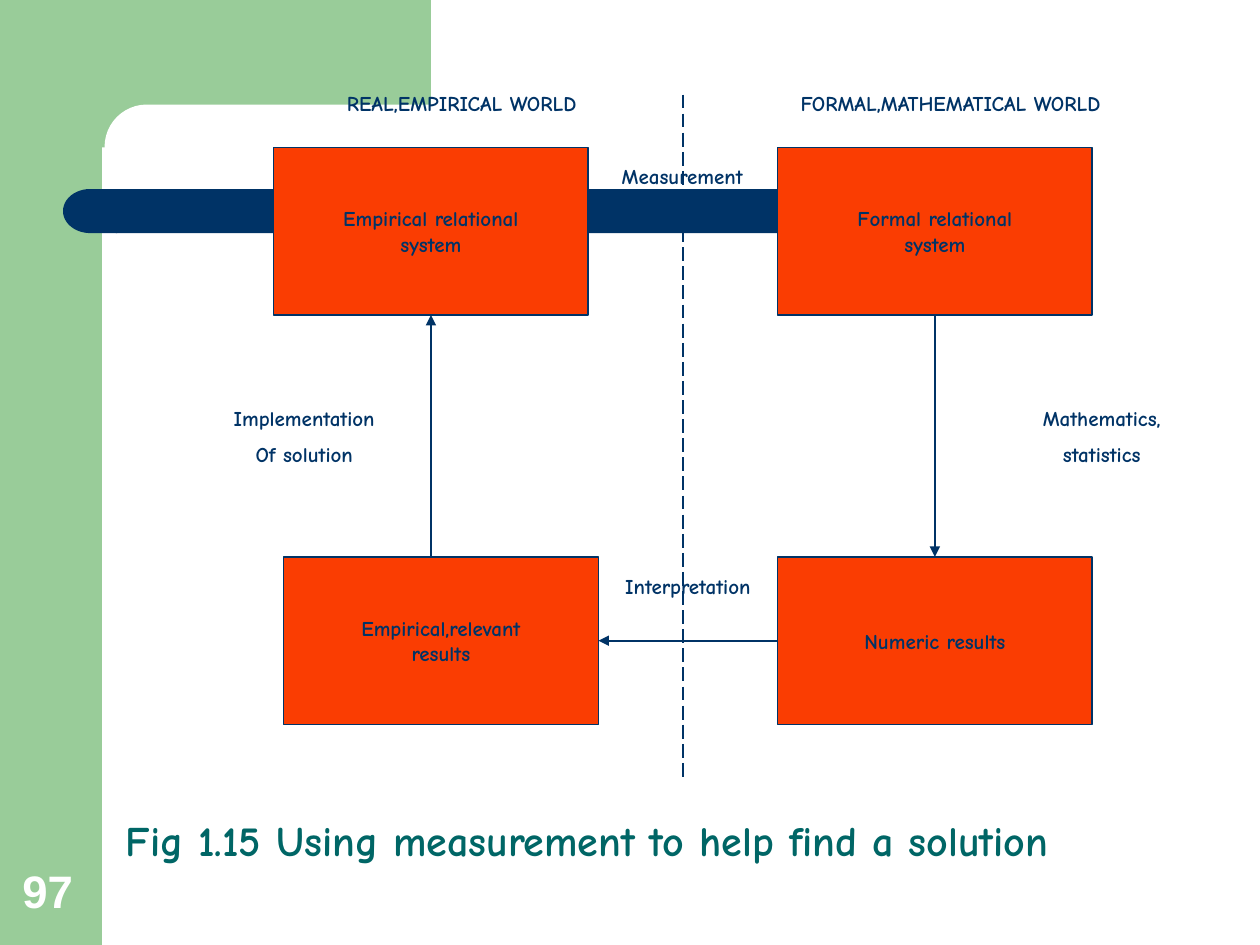
from dataclasses import dataclass

from lxml import etree
from pptx import Presentation
from pptx import util as u
from pptx.dml.color import RGBColor
from pptx.enum import dml, shapes, text
from pptx.oxml.ns import qn

TOP, LEFT, BOTTOM, RIGHT = range(4)


@dataclass(frozen=True)
class Theme:
    green: str = "99CC99"
    navy: str = "003366"
    teal: str = "006666"
    orange: str = "FA3D02"
    white: str = "FFFFFF"
    font: str = "Comic Neue"
    number_font: str = "Arial"
    body: int = 12
    title: int = 24
    number: int = 26
    line: int = 1


class Diagram:
    def __init__(self, page, theme):
        self.page = page
        self.theme = theme

    def set_words(self, shape, words, size=None, color=None, font=None,
                  align=text.PP_ALIGN.CENTER, before=0):
        shape.text_frame.text = words
        for para in shape.text_frame.paragraphs:
            para.alignment = align
            para.space_before = u.Pt(before)
            for span in para.runs:
                span.font.name = font or self.theme.font
                span.font.size = u.Pt(size or self.theme.body)
                span.font.bold = True
                span.font.color.rgb = RGBColor.from_string(color or self.theme.navy)

    def block(self, kind, place, fill):
        """Add a flat, unoutlined shape."""
        shape = self.page.shapes.add_shape(kind, *map(u.Inches, place))
        shape.shadow.inherit = False
        shape.fill.solid()
        shape.fill.fore_color.rgb = RGBColor.from_string(fill)
        shape.line.fill.background()
        return shape

    def stage(self, left, top, words):
        """Add one outlined box of the measurement cycle."""
        box = self.block(shapes.MSO_SHAPE.RECTANGLE, (left, top, 2.5, 1.33),
                         self.theme.orange)
        self.outline(box.line)
        box.text_frame.word_wrap = False
        box.text_frame.vertical_anchor = text.MSO_ANCHOR.MIDDLE
        self.set_words(box, words)
        return box

    def label(self, place, words, anchor=text.MSO_ANCHOR.TOP, **style):
        box = self.page.shapes.add_textbox(*map(u.Inches, place))
        box.text_frame.word_wrap = True
        box.text_frame.vertical_anchor = anchor
        self.set_words(box, words, **style)
        return box

    def outline(self, line):
        line.color.rgb = RGBColor.from_string(self.theme.navy)
        line.width = u.Pt(self.theme.line)

    def line(self, start, end):
        connector = self.page.shapes.add_connector(
            shapes.MSO_CONNECTOR.STRAIGHT, *map(u.Inches, start + end))
        self.outline(connector.line)
        etree.SubElement(connector._element.spPr, qn("a:effectLst"))
        return connector

    def arrow(self, start, end, source=None, target=None):
        """Add an arrow; source and target are (box, side) pairs to join."""
        connector = self.line(start, end)
        if source:
            connector.begin_connect(*source)
        if target:
            connector.end_connect(*target)
        etree.SubElement(connector._element.spPr.find(qn("a:ln")), qn("a:tailEnd"),
                         type="triangle")

    def divider(self, start, end):
        self.line(start, end).line.dash_style = dml.MSO_LINE.LONG_DASH


def draw_background(diagram):
    theme, kinds = diagram.theme, shapes.MSO_SHAPE
    diagram.block(kinds.RECTANGLE, (0, 0, 0.81, 7.5), theme.green)
    diagram.block(kinds.RECTANGLE, (0.73, 0, 2.69, 1.17), theme.green)
    notch = diagram.block(kinds.ROUNDED_RECTANGLE, (0.83, 0.83, 5.58, 0.67), theme.white)
    notch.adjustments[0] = 0.5
    diagram.block(kinds.RECTANGLE, (0.92, 1.5, 7.67, 0.35), theme.navy)
    bar_end = diagram.block(kinds.FLOWCHART_DELAY, (0.5, 1.5, 0.43, 0.35), theme.navy)
    bar_end.rotation = 180


def draw_cycle(diagram):
    empirical = diagram.stage(2.17, 1.17, "Empirical relational\nsystem")
    numeric = diagram.stage(6.17, 4.42, "Numeric results")
    formal = diagram.stage(6.17, 1.17, "Formal relational\nsystem")
    relevant = diagram.stage(2.25, 4.42, "Empirical,relevant\nresults")

    diagram.arrow((4.67, 1.75), (6.17, 1.75))
    diagram.arrow((7.42, 2.5), (7.42, 4.42), (formal, BOTTOM), (numeric, TOP))
    diagram.arrow((6.17, 5.08), (4.75, 5.08), (numeric, LEFT), (relevant, RIGHT))
    diagram.arrow((3.42, 4.42), (3.42, 2.5), target=(empirical, BOTTOM))

    labels = [
        ((2.33, 0.67, 2.67, 0.3), "REAL,EMPIRICAL WORLD"),
        ((5.92, 0.67, 3.25, 0.3), "FORMAL,MATHEMATICAL WORLD"),
        ((4.75, 1.25, 1.33, 0.3), "Measurement"),
        ((4.75, 4.5, 1.42, 0.3), "Interpretation"),
        ((1.58, 3.17, 1.67, 0.6), "Implementation\nOf solution"),
        ((7.83, 3.17, 1.83, 0.6), "Mathematics,\nstatistics"),
    ]
    for place, words in labels:
        diagram.label(place, words, before=diagram.theme.body / 2)
    diagram.divider((5.42, 0.75), (5.42, 6.17))


def main():
    deck = Presentation()
    deck.slide_width, deck.slide_height = u.Inches(10), u.Inches(7.5)
    theme = Theme()
    diagram = Diagram(deck.slides.add_slide(deck.slide_layouts[6]), theme)

    draw_background(diagram)
    footing = {"anchor": text.MSO_ANCHOR.BOTTOM, "align": text.PP_ALIGN.LEFT}
    diagram.label((0.08, 6.8, 0.64, 0.53), "97", size=theme.number,
                  color=theme.white, font=theme.number_font, **footing)
    title = diagram.label((0.9, 6.42, 8.85, 0.5),
                          "Fig 1.15 Using measurement to help find a solution",
                          size=theme.title, color=theme.teal, **footing)
    title.text_frame.paragraphs[0].line_spacing = 0.9
    draw_cycle(diagram)
    deck.save("out.pptx")


if __name__ == "__main__":
    main()
